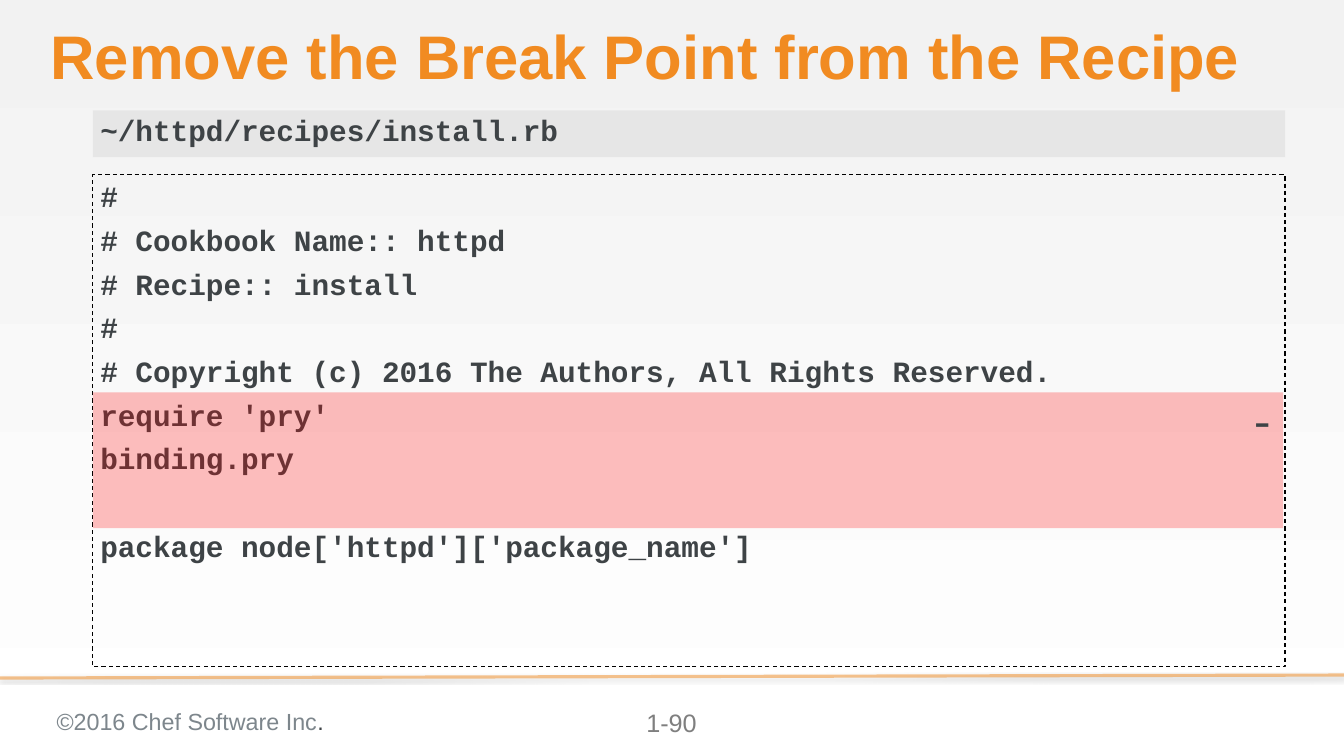
import dataclasses

import pptx
import pptx.dml.color
import pptx.enum.dml
import pptx.enum.shapes
import pptx.enum.text
import pptx.oxml
import pptx.oxml.ns
import pptx.util

Cm = pptx.util.Cm
Pt = pptx.util.Pt
ALIGN = pptx.enum.text.PP_ALIGN
ANCHOR = pptx.enum.text.MSO_ANCHOR


@dataclasses.dataclass(frozen=True)
class Theme:
    orange: str = "F18B21"
    ink: str = "3E4346"
    footer_gray: str = "7D868C"
    number_gray: str = "7F7F7F"
    bar: str = "D9D9D9"
    removed: str = "FF0000"
    border: str = "000000"
    backdrop: tuple = ("F2F2F2", "FFFFFF")
    sans: str = "Arial"
    mono: str = "Courier New"
    title_size: float = 58.6
    code_size: float = 28
    marker_size: float = 42.7
    footer_size: float = 22.2
    number_size: float = 24


THEME = Theme()
CODE_GAP = 8
SECTION_GAP = 50
CODE_SECTIONS = (
    (
        "#",
        "# Cookbook Name:: httpd",
        "# Recipe:: install",
        "#",
        "# Copyright (c) 2016 The Authors, All Rights Reserved.",
        "require 'pry'",
        "binding.pry",
    ),
    ("package node['httpd']['package_name']",),
)


def rgb(color):
    return pptx.dml.color.RGBColor.from_string(color)


def apply_format(target, values):
    for name, value in values.items():
        setattr(target, name, value)


def set_opacity(fill_parent, percent):
    color = fill_parent.find(".//" + pptx.oxml.ns.qn("a:srgbClr"))
    color.append(pptx.oxml.parse_xml(
        f'<a:alpha {pptx.oxml.ns.nsdecls("a")} val="{percent * 1000}"/>'))


def set_frame(frame, insets, anchor=ANCHOR.TOP):
    left, top, right, bottom = (Cm(inset) for inset in insets)
    apply_format(frame, {
        "word_wrap": True, "vertical_anchor": anchor,
        "margin_left": left, "margin_top": top,
        "margin_right": right, "margin_bottom": bottom,
    })


def write(paragraph, text, size, color, face, bold=False):
    run = paragraph.add_run()
    run.text = text
    apply_format(run.font, {"size": Pt(size), "name": face, "bold": bold})
    run.font.color.rgb = rgb(color)


def add_label(slide, box, insets, anchor=ANCHOR.TOP):
    label = slide.shapes.add_textbox(*(Cm(length) for length in box))
    set_frame(label.text_frame, insets, anchor)
    return label.text_frame.paragraphs[0]


def add_panel(slide, box, insets, fill=None, opacity=100, anchor=ANCHOR.TOP):
    panel = slide.shapes.add_shape(
        pptx.enum.shapes.MSO_SHAPE.RECTANGLE, *(Cm(length) for length in box))
    panel.shadow.inherit = False
    panel.line.fill.background()
    if fill:
        panel.fill.solid()
        panel.fill.fore_color.rgb = rgb(fill)
        set_opacity(panel.fill._xPr, opacity)
    else:
        panel.fill.background()
    set_frame(panel.text_frame, insets, anchor)
    panel.text_frame.paragraphs[0].alignment = ALIGN.LEFT
    return panel


def paint_backdrop(slide):
    fill = slide.background.fill
    fill.gradient()
    fill.gradient_angle = 270
    for stop, color in zip(fill.gradient_stops, THEME.backdrop):
        stop.color.rgb = rgb(color)


def add_footer_rule(slide):
    rule = slide.shapes.add_connector(
        pptx.enum.shapes.MSO_CONNECTOR.STRAIGHT,
        Cm(45.16), Cm(22.68), Cm(0), Cm(22.78))
    rule.line.width = Pt(3)
    rule.line.color.rgb = rgb(THEME.orange)
    properties = rule._element.spPr
    set_opacity(properties, 50)
    properties.append(pptx.oxml.parse_xml(
        f'<a:effectLst {pptx.oxml.ns.nsdecls("a")}>'
        f'<a:outerShdw blurRad="{Pt(3.1)}" dist="{Pt(1.8)}" dir="5400000" rotWithShape="0">'
        f'<a:srgbClr val="{THEME.border}"><a:alpha val="35000"/></a:srgbClr>'
        '</a:outerShdw></a:effectLst>'))


def add_footer(slide):
    insets = (0.25,) * 4
    notice = add_label(slide, (1.65, 23.5, 14.99, 1.32), insets)
    write(notice, "©2016 Chef Software Inc", THEME.footer_size, THEME.footer_gray, THEME.sans)
    write(notice, ".", THEME.footer_size, THEME.ink, THEME.sans)
    number = add_label(slide, (20.57, 23.5, 3.99, 1.45), insets)
    number.alignment = ALIGN.CENTER
    write(number, "1-90", THEME.number_size, THEME.number_gray, THEME.sans)


def add_title(slide):
    title = add_label(slide, (1.7, 0.84, 41.48, 2.31), (0,) * 4, ANCHOR.MIDDLE)
    title.line_spacing = 0.9
    write(title, "Remove the Break Point from the Recipe",
          THEME.title_size, THEME.orange, THEME.sans, True)


def add_code(slide):
    listing = add_panel(slide, (3.12, 5.87, 40.06, 16.54), (0.25, 0.12, 0.25, 0.12))
    apply_format(listing.line, {
        "width": Pt(1), "dash_style": pptx.enum.dml.MSO_LINE.DASH})
    listing.line.color.rgb = rgb(THEME.border)
    frame = listing.text_frame
    for section_index, section in enumerate(CODE_SECTIONS):
        for line_index, code in enumerate(section):
            if section_index or line_index:
                paragraph = frame.add_paragraph()
                paragraph.space_before = Pt(CODE_GAP if line_index else SECTION_GAP)
            else:
                paragraph = frame.paragraphs[0]
            paragraph.alignment = ALIGN.LEFT
            write(paragraph, code, THEME.code_size, THEME.ink, THEME.mono, True)


def add_file_bar(slide):
    bar = add_panel(slide, (3.12, 3.71, 40.06, 1.57), (0.25, 0, 0, 0.25),
                    THEME.bar, 50, ANCHOR.MIDDLE)
    write(bar.text_frame.paragraphs[0], "~/httpd/recipes/install.rb",
          THEME.code_size, THEME.ink, THEME.mono, True)


def add_removed_lines(slide):
    removed = add_panel(slide, (3.12, 13.18, 40, 4.57), (0, 0, 0.25, 1.65),
                        THEME.removed, 25)
    marker = removed.text_frame.paragraphs[0]
    marker.alignment = ALIGN.RIGHT
    write(marker, "-", THEME.marker_size, THEME.ink, THEME.mono)


def main():
    deck = pptx.Presentation()
    apply_format(deck, {"slide_width": Cm(45.16), "slide_height": Cm(25.4)})
    slide = deck.slides.add_slide(deck.slide_layouts[6])
    paint_backdrop(slide)
    add_footer_rule(slide)
    add_footer(slide)
    add_title(slide)
    add_code(slide)
    add_file_bar(slide)
    add_removed_lines(slide)
    deck.save("out.pptx")


if __name__ == "__main__":
    main()
